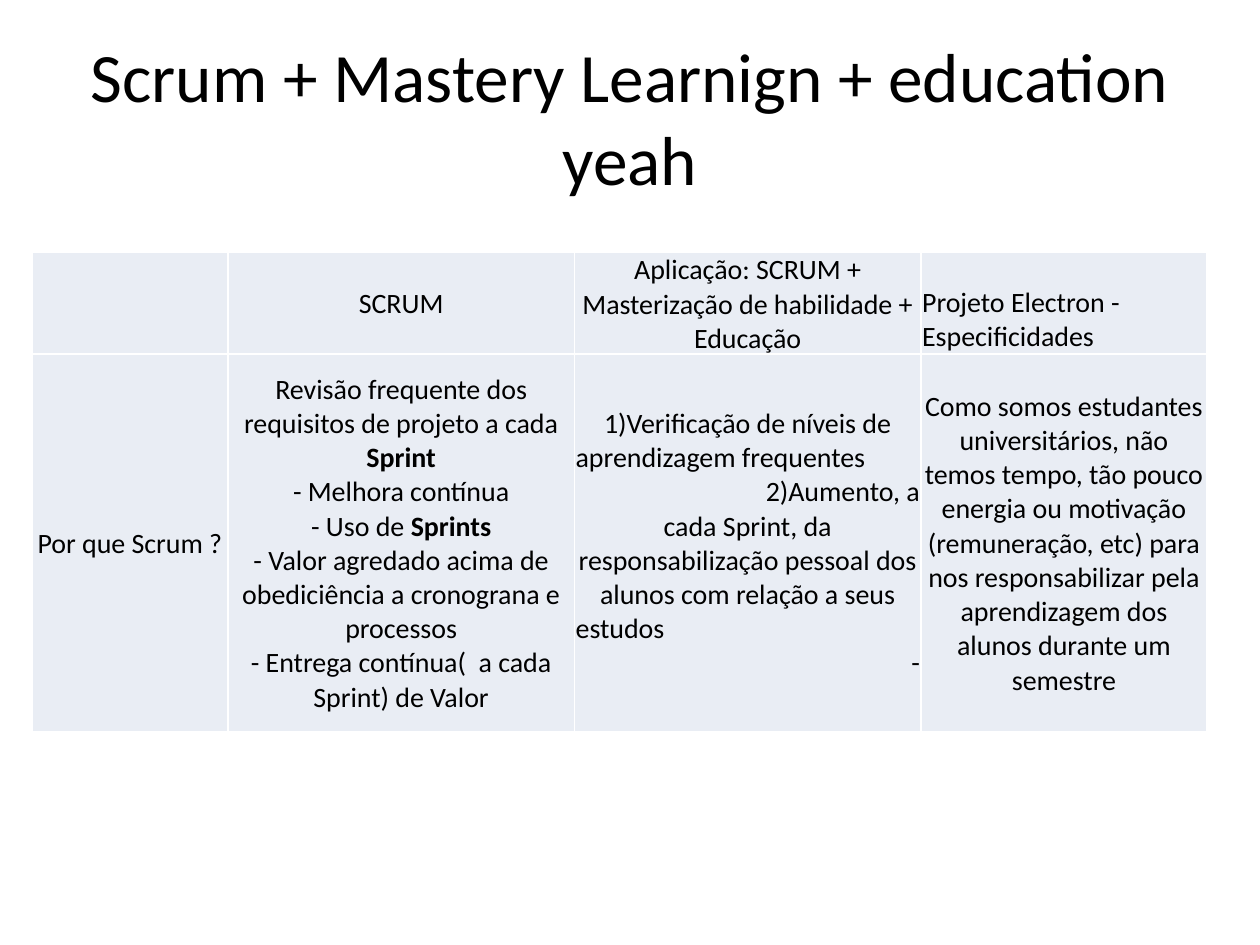
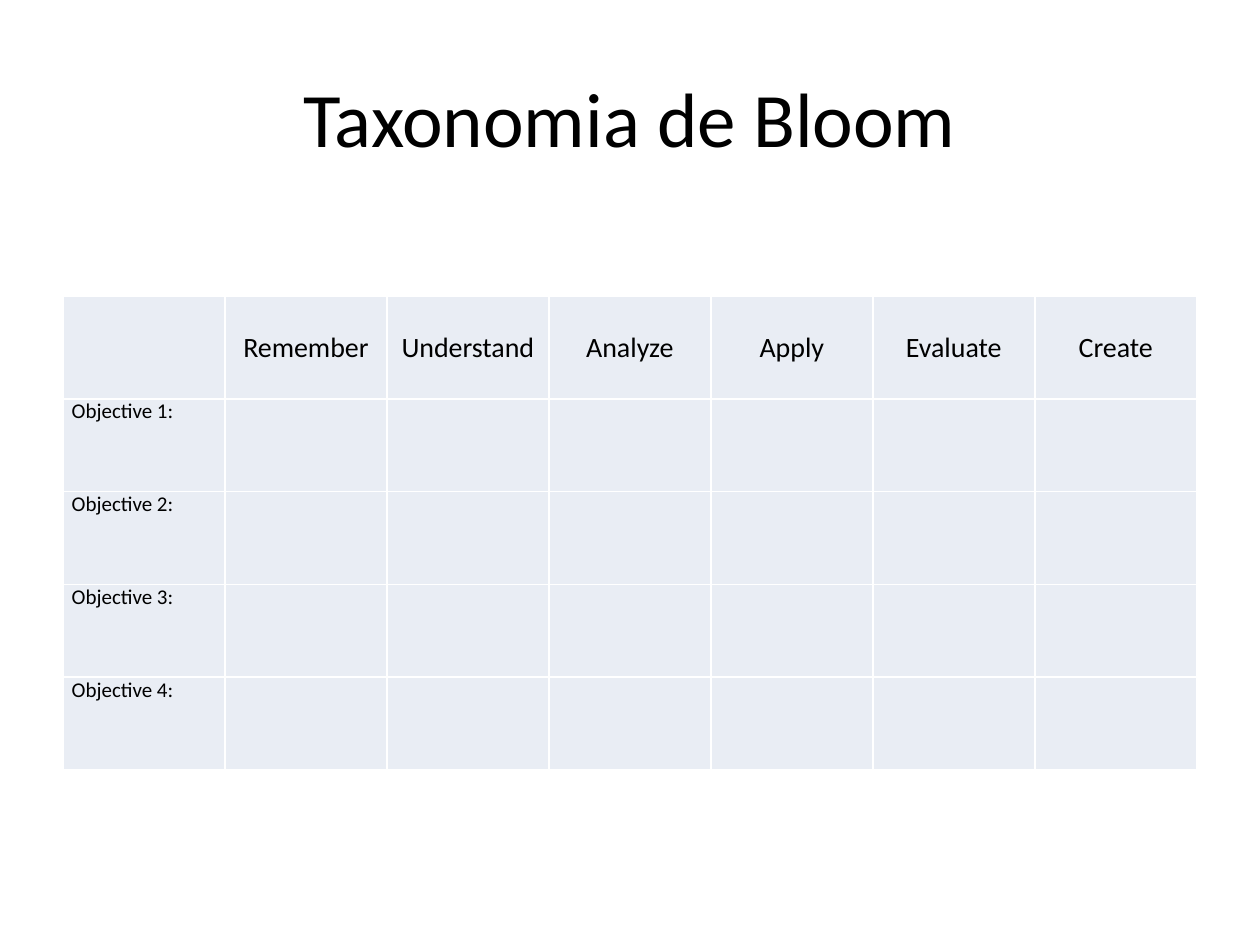
"""Build two slides, each a centred title above a pale table: Scrum in education and Bloom's taxonomy."""
import pptx
import pptx.dml.color
import pptx.enum.text
import pptx.oxml
import pptx.oxml.ns
import pptx.util

Pt = pptx.util.Pt
ANCHOR = pptx.enum.text.MSO_ANCHOR
ALIGN = {
    "l": pptx.enum.text.PP_ALIGN.LEFT,
    "c": pptx.enum.text.PP_ALIGN.CENTER,
    "r": pptx.enum.text.PP_ALIGN.RIGHT,
}
FONT, INK, PALE, GRID = "Calibri", "000000", "E9EDF4", "FFFFFF"


def color(hex_code):
    """Turn a hex string into a colour."""
    return pptx.dml.color.RGBColor.from_string(hex_code)


def write(frame, text, size=16, aligns="c"):
    """Write one paragraph a line, with *bold* parts; the last alignment carries on."""
    frame.word_wrap = True
    for number, line in enumerate(text.split("\n")):
        paragraph = frame.paragraphs[0] if number == 0 else frame.add_paragraph()
        paragraph.alignment = ALIGN[aligns[min(number, len(aligns) - 1)]]
        for part_number, part in enumerate(line.split("*")):
            if part:
                run = paragraph.add_run()
                run.text = part
                run.font.name = FONT
                run.font.size = Pt(size)
                run.font.bold = part_number % 2 == 1
                run.font.color.rgb = color(INK)


scrum_reasons = (
    "Revisão frequente dos requisitos de projeto a cada *Sprint*\n"
    "- Melhora contínua\n"
    "- Uso de *Sprints*\n"
    "- Valor agredado acima de obediciência a cronograna e processos\n"
    "- Entrega contínua(  a cada Sprint) de Valor"
)
mastery_reasons = (
    "1)Verificação de níveis de\n"
    "aprendizagem frequentes\n"
    "2)Aumento, a\n"
    "cada Sprint, da responsabilização pessoal dos alunos com relação a seus\n"
    "estudos\n"
    "-"
)
project_reasons = (
    "Como somos estudantes universitários, não temos tempo, tão pouco energia ou "
    "motivação (remuneração, etc) para nos responsabilizar pela aprendizagem dos "
    "alunos durante um semestre"
)
levels = ["Remember", "Understand", "Analyze", "Apply", "Evaluate", "Create"]
blank_levels = [""] * len(levels)

pages = [
    {
        "title": "Scrum + Mastery Learnign + education yeah",
        "title_size": 39.6,
        "corner": (18.25, 144),
        "widths": [112, 198, 198, 163.5],
        "heights": [54, 216],
        "insets": (0.7, 0.7),
        "rows": [
            ["", "SCRUM", "Aplicação: SCRUM + Masterização de habilidade + Educação",
             "Projeto Electron - Especificidades"],
            ["Por que Scrum ?", scrum_reasons, mastery_reasons, project_reasons],
        ],
        "formats": {
            (0, 3): {"aligns": "l", "anchor": ANCHOR.BOTTOM},
            (1, 2): {"aligns": "clrclr"},
        },
    },
    {
        "title": "Taxonomia de Bloom",
        "title_size": 44,
        "corner": (36, 169.5),
        "widths": [648 / 7] * 7,
        "heights": [58.5] + [53] * 4,
        "insets": (5, 0),
        "rows": [["", *levels]] + [[f"Objective {n}:", *blank_levels] for n in range(1, 5)],
        "formats": {
            (row, 0): {"size": 12, "aligns": "l", "anchor": ANCHOR.TOP} for row in range(1, 5)
        },
    },
]

deck = pptx.Presentation()
deck.slide_width, deck.slide_height = Pt(720), Pt(540)

for page in pages:
    slide = deck.slides.add_slide(deck.slide_layouts[6])
    heading = slide.shapes.add_textbox(Pt(36), Pt(21.6), Pt(648), Pt(90)).text_frame
    heading.vertical_anchor = ANCHOR.MIDDLE
    write(heading, page["title"], size=page["title_size"])

    left, top = page["corner"]
    widths, heights = page["widths"], page["heights"]
    table = slide.shapes.add_table(
        len(heights), len(widths), Pt(left), Pt(top), Pt(sum(widths)), Pt(sum(heights))
    ).table
    table.first_row = table.horz_banding = False
    for column, width in zip(table.columns, widths):
        column.width = Pt(width)
    for row, height in zip(table.rows, heights):
        row.height = Pt(height)

    side_inset, top_inset = page["insets"]
    for row_number, texts in enumerate(page["rows"]):
        for column_number, text in enumerate(texts):
            cell = table.cell(row_number, column_number)
            look = {"anchor": ANCHOR.MIDDLE, **page["formats"].get((row_number, column_number), {})}
            cell.vertical_anchor = look.pop("anchor")
            cell.margin_left = cell.margin_right = Pt(side_inset)
            cell.margin_top, cell.margin_bottom = Pt(top_inset), Pt(0)
            for side in "LRTB":
                cell._tc.get_or_add_tcPr().append(pptx.oxml.parse_xml(
                    f'<a:ln{side} {pptx.oxml.ns.nsdecls("a")} w="{Pt(1)}"><a:solidFill>'
                    f'<a:srgbClr val="{GRID}"/></a:solidFill></a:ln{side}>'
                ))
            cell.fill.solid()
            cell.fill.fore_color.rgb = color(PALE)
            write(cell.text_frame, text, **look)

deck.save("out.pptx")
